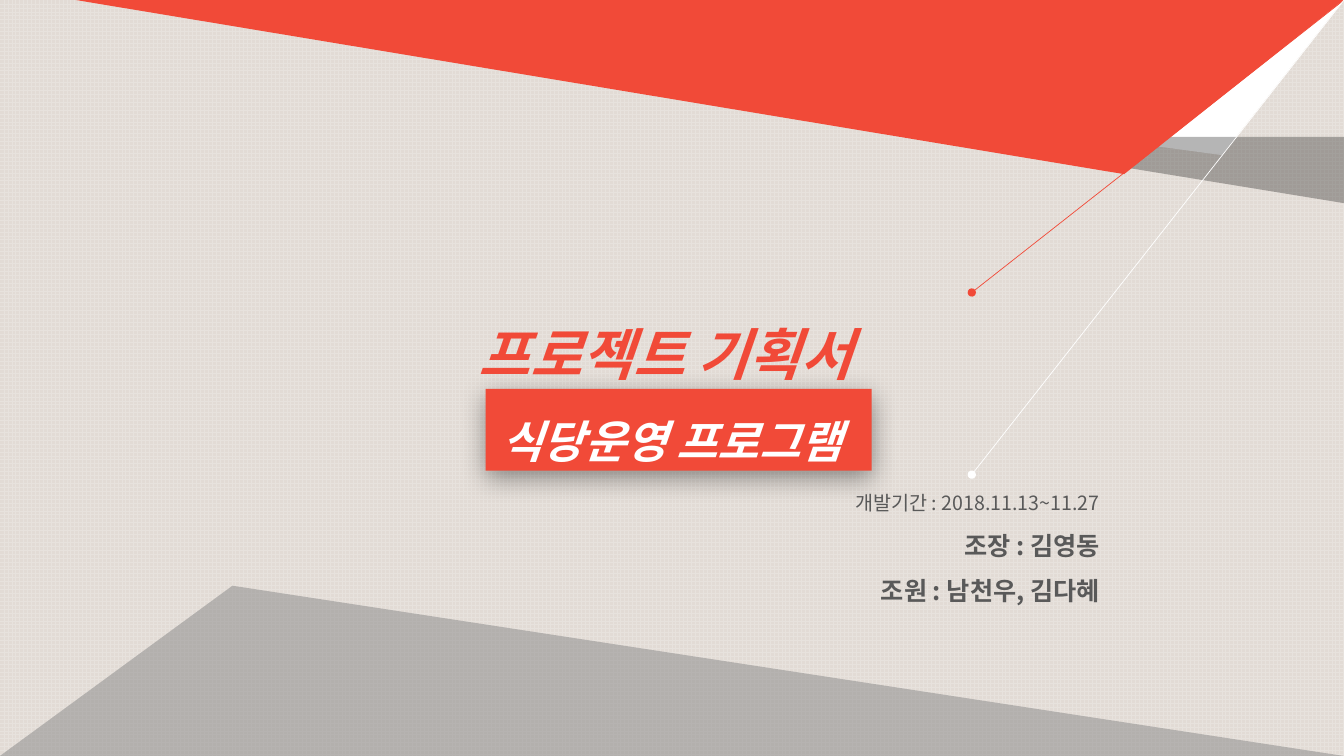
from dataclasses import dataclass
from typing import Optional

from lxml import etree
from pptx import Presentation
from pptx.dml.color import RGBColor
from pptx.enum.dml import MSO_PATTERN
from pptx.enum.shapes import MSO_CONNECTOR, MSO_SHAPE
from pptx.enum.text import MSO_ANCHOR, MSO_AUTO_SIZE, PP_ALIGN
from pptx.oxml.ns import qn
from pptx.util import Cm, Pt

TITLE_ONLY = 5
TRIANGLE = MSO_SHAPE.ISOSCELES_TRIANGLE
RECTANGLE = MSO_SHAPE.RECTANGLE
STRAIGHT = MSO_CONNECTOR.STRAIGHT
LARGE_GRID = MSO_PATTERN.LARGE_GRID
TOP = MSO_ANCHOR.TOP
FIT_SHAPE = MSO_AUTO_SIZE.SHAPE_TO_FIT_TEXT
CENTER, RIGHT = PP_ALIGN.CENTER, PP_ALIGN.RIGHT


@dataclass(frozen=True)
class Theme:
    font: str = "Noto Sans CJK KR"
    red: str = "F14A38"
    white: str = "FFFFFF"
    black: str = "000000"
    gray: str = "808080"
    text: str = "595959"
    grid: str = "E7E2DD"
    paper: str = "E2DBD5"
    title_size: int = 40
    subtitle_size: int = 32
    member_size: int = 18
    period_size: int = 14
    line_width: float = 0.5
    line_spacing: float = 1.5


THEME = Theme()
PAGE_WIDTH, PAGE_HEIGHT = 33.87, 19.05


@dataclass(frozen=True)
class Panel:
    left: float
    top: float
    width: float
    height: float
    color: str
    preset: int = TRIANGLE
    apex: Optional[float] = None
    flip: Optional[str] = None
    opacity: Optional[int] = None


@dataclass(frozen=True)
class Line:
    text: str
    size: int
    color: str
    bold: bool = False
    italic: bool = False


WHITE_FOLD = Panel(1.9, 0, 31.96, 3.91, THEME.white, apex=0.904, flip="flipV")
RED_FOLD = Panel(1.9, 0, 31.96, 4.39, THEME.red, apex=0.827, flip="flipV")
GRAY_FOLD = Panel(0, 14.76, PAGE_WIDTH, 4.29, THEME.gray, apex=0.827, flip="flipH", opacity=47)
SUBTITLE_BAND = Panel(12.24, 9.8, 9.73, 2.06, THEME.red, preset=RECTANGLE)
FOLD_SHADE = [(23.64, 3.45), (PAGE_WIDTH, 3.45), (PAGE_WIDTH, 5.12)]
RAYS = [(7.37, THEME.red), (11.96, THEME.white)]
RAY_END = 24.49

TITLE_LINES = [
    Line("프로젝트 기획서 ", THEME.title_size, THEME.red, True, True),
    Line("식당운영 프로그램", THEME.subtitle_size, THEME.white, True, True),
]
TEAM_LINES = [
    Line("개발기간 : 2018.11.13~11.27", THEME.period_size, THEME.text),
    Line("조장 : 김영동", THEME.member_size, THEME.text, True),
    Line("조원 : 남천우, 김다혜", THEME.member_size, THEME.text, True),
]


def rgb(color: str) -> RGBColor:
    return RGBColor.from_string(color)


def add_opacity(color_element, percent: int) -> None:
    etree.SubElement(color_element, qn("a:alpha"), val=str(percent * 1000))


def paint(shape, color: str, opacity: Optional[int] = None) -> None:
    shape.shadow.inherit = False
    shape.line.fill.background()
    shape.fill.solid()
    shape.fill.fore_color.rgb = rgb(color)
    if opacity is not None:
        add_opacity(shape.element.spPr.find(".//" + qn("a:srgbClr")), opacity)


def add_panel(page, panel: Panel):
    shape = page.shapes.add_shape(
        panel.preset, Cm(panel.left), Cm(panel.top), Cm(panel.width), Cm(panel.height)
    )
    paint(shape, panel.color, panel.opacity)
    if panel.apex is not None:
        shape.adjustments[0] = panel.apex
    if panel.flip:
        shape.element.spPr.find(qn("a:xfrm")).set(panel.flip, "1")
    return shape


def add_soft_shadow(shape, blur: int, distance: int, opacity: int) -> None:
    effects = shape.element.spPr.find(qn("a:effectLst"))
    shadow = etree.SubElement(
        effects, qn("a:outerShdw"), blurRad=str(Pt(blur)), dist=str(Pt(distance)),
        dir="5400000", algn="t", rotWithShape="0",
    )
    add_opacity(etree.SubElement(shadow, qn("a:srgbClr"), val=THEME.black), opacity)


def add_shade(page, points: list[tuple[float, float]], opacity: int) -> None:
    corners = [(Cm(x), Cm(y)) for x, y in points]
    builder = page.shapes.build_freeform(*corners[0])
    builder.add_line_segments(corners[1:], close=True)
    paint(builder.convert_to_shape(), THEME.black, opacity)


def add_ray(page, end_top: float, color: str) -> None:
    ray = page.shapes.add_connector(STRAIGHT, Cm(PAGE_WIDTH), 0, Cm(RAY_END), Cm(end_top))
    ray.line.color.rgb = rgb(color)
    ray.line.width = Pt(THEME.line_width)
    properties = ray.element.spPr
    etree.SubElement(properties.find(qn("a:ln")), qn("a:tailEnd"), type="oval")
    etree.SubElement(properties, qn("a:effectLst"))


def write_lines(box, lines: list[Line], alignment, wrap: bool) -> None:
    frame = box.text_frame
    frame.word_wrap = wrap
    frame.auto_size = FIT_SHAPE
    frame.vertical_anchor = TOP
    for index, line in enumerate(lines):
        para = frame.add_paragraph() if index else frame.paragraphs[0]
        para.alignment = alignment
        para.line_spacing = THEME.line_spacing
        span = para.add_run()
        span.text = line.text
        span.font.size = Pt(line.size)
        span.font.bold = line.bold
        span.font.italic = line.italic
        span.font.color.rgb = rgb(line.color)
        span.font.name = THEME.font
        etree.SubElement(span.font._element, qn("a:ea"), typeface=THEME.font)


def place_title(page) -> None:
    title = page.shapes.title
    title.left, title.top, title.width, title.height = Cm(8.61), Cm(7.09), Cm(16.64), Cm(4.88)
    write_lines(title, TITLE_LINES, CENTER, True)
    title.element.getparent().append(title.element)


def main() -> None:
    deck = Presentation()
    deck.slide_width, deck.slide_height = Cm(PAGE_WIDTH), Cm(PAGE_HEIGHT)
    page = deck.slides.add_slide(deck.slide_layouts[TITLE_ONLY])
    background = page.background.fill
    background.patterned()
    background.pattern = LARGE_GRID
    background.fore_color.rgb = rgb(THEME.grid)
    background.back_color.rgb = rgb(THEME.paper)

    add_panel(page, WHITE_FOLD)
    add_soft_shadow(add_panel(page, SUBTITLE_BAND), blur=19, distance=5, opacity=40)
    place_title(page)
    add_shade(page, FOLD_SHADE, opacity=29)
    add_panel(page, RED_FOLD)
    for end_top, color in RAYS:
        add_ray(page, end_top, color)
    team = page.shapes.add_textbox(Cm(21.01), Cm(11.96), Cm(6.96), Cm(3.45))
    write_lines(team, TEAM_LINES, RIGHT, False)
    add_panel(page, GRAY_FOLD)
    deck.save("out.pptx")


main()
